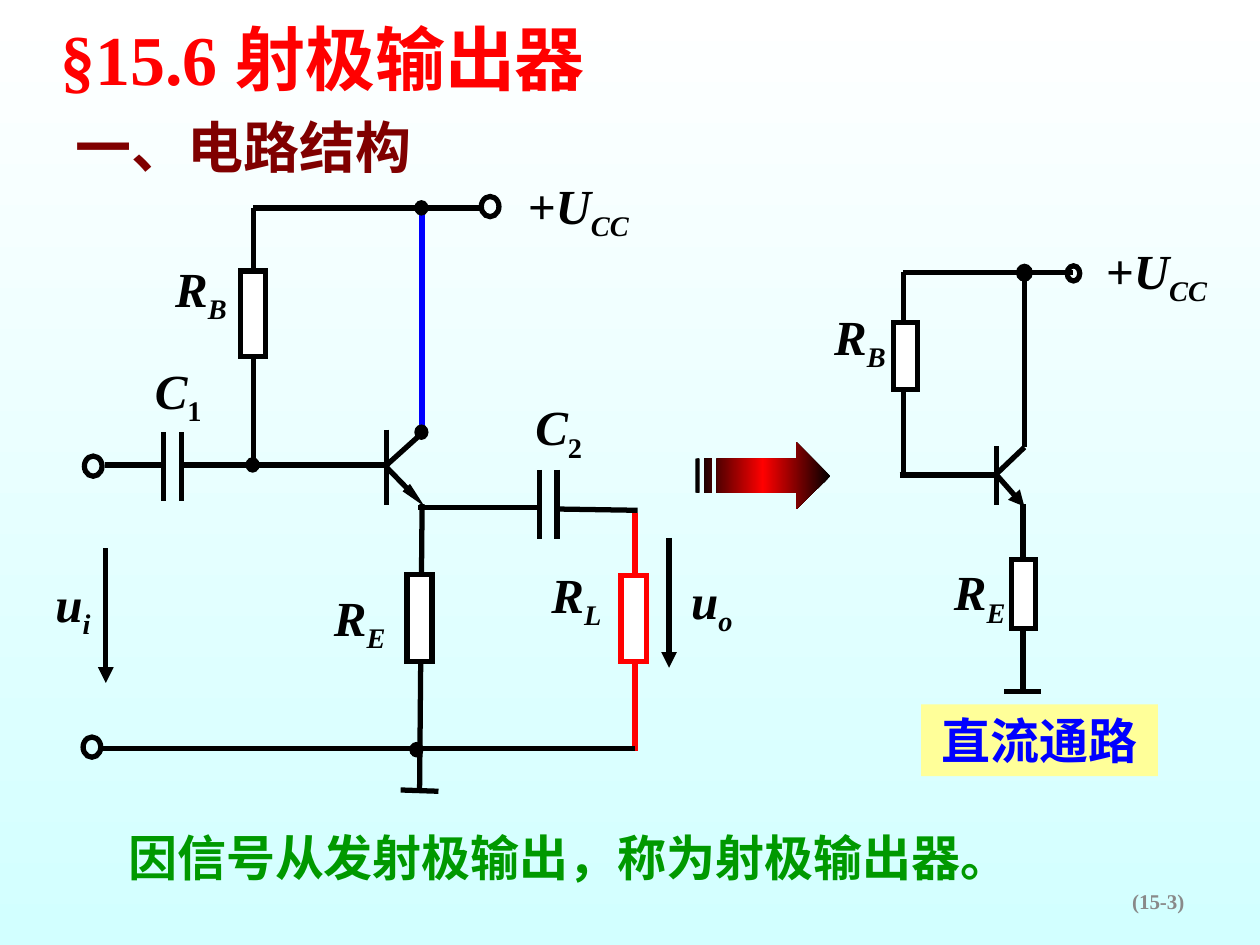
from copy import deepcopy
from lxml import etree
from pptx import Presentation, util as u
from pptx.dml.color import RGBColor
from pptx.enum import shapes, text
from pptx.oxml.ns import qn

PX = 9144  # 100 px to the inch
rgb = RGBColor.from_string
LEFT, MID, RIGHT = text.PP_ALIGN.LEFT, text.PP_ALIGN.CENTER, text.PP_ALIGN.RIGHT
BLACK, RED, BLUE, WHITE = "000000", "FF0000", "0000FF", "FFFFFF"

deck = Presentation()
deck.slide_width, deck.slide_height = 1000 * PX, 750 * PX
slide = deck.slides.add_slide(deck.slide_layouts[5])
parts = slide.shapes


def style(shape, words, size, color, align, face="Times New Roman"):
    frame = shape.text_frame
    frame.text = words
    frame.word_wrap = True
    frame.auto_size = text.MSO_AUTO_SIZE.NONE
    frame.vertical_anchor = text.MSO_ANCHOR.MIDDLE
    para = frame.paragraphs[0]
    para.alignment = align
    for run in para.runs:
        run.font.name, run.font.size, run.font.bold = face, u.Pt(size), True
        run.font.color.rgb = rgb(color)
        east = etree.SubElement(run.font._element, qn("a:ea"))
        east.set("typeface", "Noto Sans CJK SC")


def draw(kind, box, fill, line, width=3):
    shape = parts.add_shape(kind, *(v * PX for v in box))
    shape.shadow.inherit = False
    if fill:
        shape.fill.solid()
        shape.fill.fore_color.rgb = rgb(fill)
    else:
        shape.fill.background()
    if line:
        shape.line.color.rgb = rgb(line)
        shape.line.width = u.Pt(width)
        join = etree.SubElement(shape.line._get_or_add_ln(), qn("a:miter"))
        join.set("lim", "800000")
    else:
        shape.line.fill.background()
    return shape


# Background
back = slide.background.fill
back.gradient()
back.gradient_angle = 270
for stop, color in zip(back.gradient_stops, (WHITE, "D2FFFF")):
    stop.color.rgb = rgb(color)

# Title
title = parts.title
title.left, title.top, title.width, title.height = (v * PX for v in (38, 7, 570, 77))
style(title, "§15.6 射极输出器", 40, RED, LEFT)
title.text_frame.vertical_anchor = text.MSO_ANCHOR.TOP

# Heading, closing line and page number
for box, words, size, color, align, face in (
    ((50, 84, 376, 64), "一、电路结构", 32, "800000", LEFT, "Times New Roman"),
    ((92, 652, 770, 57), "因信号从发射极输出，称为射极输出器。", 28, "009900", LEFT,
     "Noto Sans CJK SC"),
    ((717, 695, 233, 40), "(15-3)", 12, "898989", RIGHT, "Times New Roman"),
):
    style(parts.add_textbox(*(v * PX for v in box)), words, size, color, align, face)

# Wires: start, end, colour, arrowhead width and length
wires = [
    # Full circuit: supply, bias and collector
    (201, 371, 201, 165), (201, 165, 331, 165), (331, 165, 381, 165),
    (335, 274, 335, 164, BLUE), (335, 246, 335, 344, BLUE),
    # Full circuit: transistor
    (307, 341, 307, 401), (307, 369, 337, 342),
    (307, 371, 337, 402, BLACK, "sm", "lg"),
    # Full circuit: input, output and capacitor plates
    (83, 369, 131, 369), (144, 369, 306, 369),
    (332, 403, 428, 403), (442, 404, 506, 405),
    *((x, 343, x, 398) for x in (130, 144)),
    *((x, 373, x, 428) for x in (428, 442)),
    # Full circuit: emitter, load and ground
    (335, 400, 333, 628), (504, 407, 504, 596, RED),
    (81, 594, 165, 594), (164, 594, 439, 594), (323, 594, 504, 594),
    (318, 627, 348, 628),
    # Voltage arrows
    (84, 435, 84, 542, BLACK, "med", "med"),
    (531, 427, 531, 530, BLACK, "med", "med"),
    # DC path
    (717, 216, 717, 377), (717, 216, 852, 216), (813, 219, 813, 355),
    (714, 377, 784, 377), (731, 377, 793, 377),
    (791, 354, 791, 401), (791, 376, 813, 355),
    (791, 377, 813, 402, BLACK, "med", "med"),
    (812, 400, 812, 548), (797, 549, 826, 549),
]
for x1, y1, x2, y2, *rest in wires:
    wire = parts.add_connector(shapes.MSO_CONNECTOR.STRAIGHT,
                               x1 * PX, y1 * PX, x2 * PX, y2 * PX)
    wire.line.color.rgb = rgb(rest[0] if rest else BLACK)
    wire.line.width = u.Pt(3)
    if len(rest) == 3:
        tip = etree.SubElement(wire.line._get_or_add_ln(), qn("a:tailEnd"))
        for key, val in zip(("type", "w", "len"), ("triangle", *rest[1:])):
            tip.set(key, val)
    etree.SubElement(wire._element.spPr, qn("a:effectLst"))

# Resistors
rect, oval = shapes.MSO_SHAPE.RECTANGLE, shapes.MSO_SHAPE.OVAL
for box, color in (
    ((191, 215, 20, 68), BLACK), ((323, 456, 20, 69), BLACK),
    ((493, 457, 20, 68), RED),
    ((709, 256, 19, 53), BLACK), ((803, 444, 19, 55), BLACK),
):
    draw(rect, box, WHITE, color)

# Terminals and junctions
for x, y in ((382, 156), (67, 362), (66, 585)):
    draw(oval, (x, y, 14, 16), None, BLACK)
draw(oval, (847, 211, 10, 12), None, BLACK)
for x, y in ((331, 161), (331, 339), (197, 365), (327, 591)):
    draw(oval, (x, y, 7, 8), BLACK, BLACK)
draw(oval, (807, 210, 12, 13), BLACK, BLACK, 1)

# Symbols: upright part, slanted part, subscript
for x, y, w, align, plain, main, sub in (
    (129, 200, 61, MID, "", "R", "B"),
    (255, 461, 61, MID, "", "R", "E"),
    (425, 443, 65, MID, "", "R", "L"),
    (113, 281, 57, MID, "", "C", "1"),
    (415, 310, 57, MID, "", "C", "2"),
    (30, 450, 56, MID, "", "u", "i"),
    (537, 448, 56, MID, "", "u", "o"),
    (409, 134, 100, LEFT, "", "+U", "CC"),
    (652, 238, 61, MID, "", "R", "B"),
    (747, 441, 61, MID, "", "R", "E"),
    (868, 186, 100, LEFT, "+", "U", "CC"),
):
    label = parts.add_textbox(x * PX, y * PX, w * PX, 63 * PX)
    frame = label.text_frame
    frame.word_wrap = False
    frame.vertical_anchor = text.MSO_ANCHOR.MIDDLE
    para = frame.paragraphs[0]
    para.alignment = align
    for piece in filter(None, (plain, main, sub)):
        run = para.add_run()
        run.text = piece
        run.font.name, run.font.size, run.font.bold = "Times New Roman", u.Pt(28), True
        run.font.italic = piece != plain and not piece.isdigit()
        run.font.color.rgb = rgb(BLACK)
        if piece == sub:
            run.font._element.set("baseline", "-25000")

# Striped arrow
form = parts.build_freeform(632, 351, scale=PX)
form.add_line_segments([(632, 364), (569, 364), (569, 391), (632, 391),
                        (632, 404), (659, 378)])
for x1, x2 in ((559, 565), (552, 555)):
    form.move_to(x1, 364)
    form.add_line_segments([(x1, 391), (x2, 391), (x2, 364)])
arrow = form.convert_to_shape()
arrow.shadow.inherit = False
arrow.line.fill.background()
arrow.fill.gradient()
arrow.fill.gradient_angle = 0
stops = arrow._element.spPr.find(".//" + qn("a:gsLst"))
stops.insert(1, deepcopy(stops[0]))
for stop, place, color in zip(arrow.fill.gradient_stops, (0, 0.5, 1), (BLACK, RED, BLACK)):
    stop.position = place
    stop.color.rgb = rgb(color)

# Caption of the DC path
note = draw(rect, (731, 559, 188, 57), "FFFF99", None)
style(note, "直流通路", 28, BLUE, MID)

deck.save("out.pptx")
